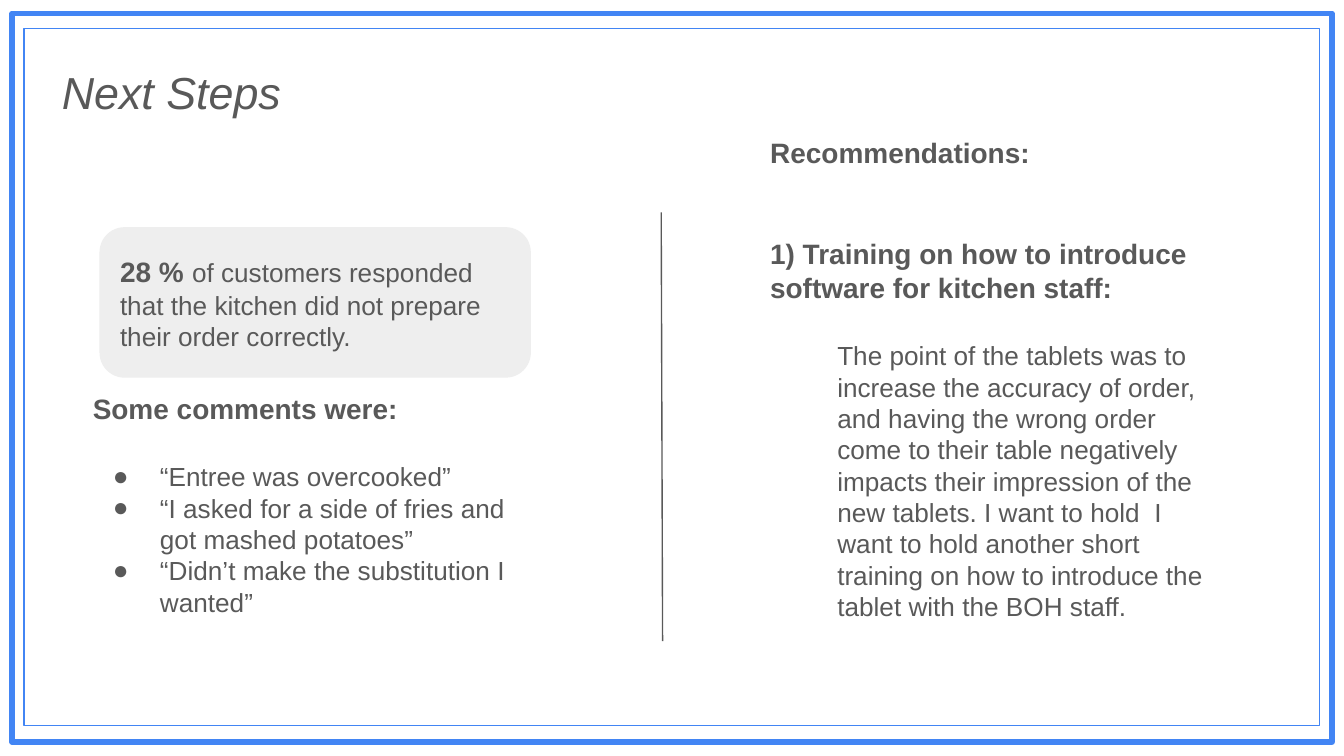
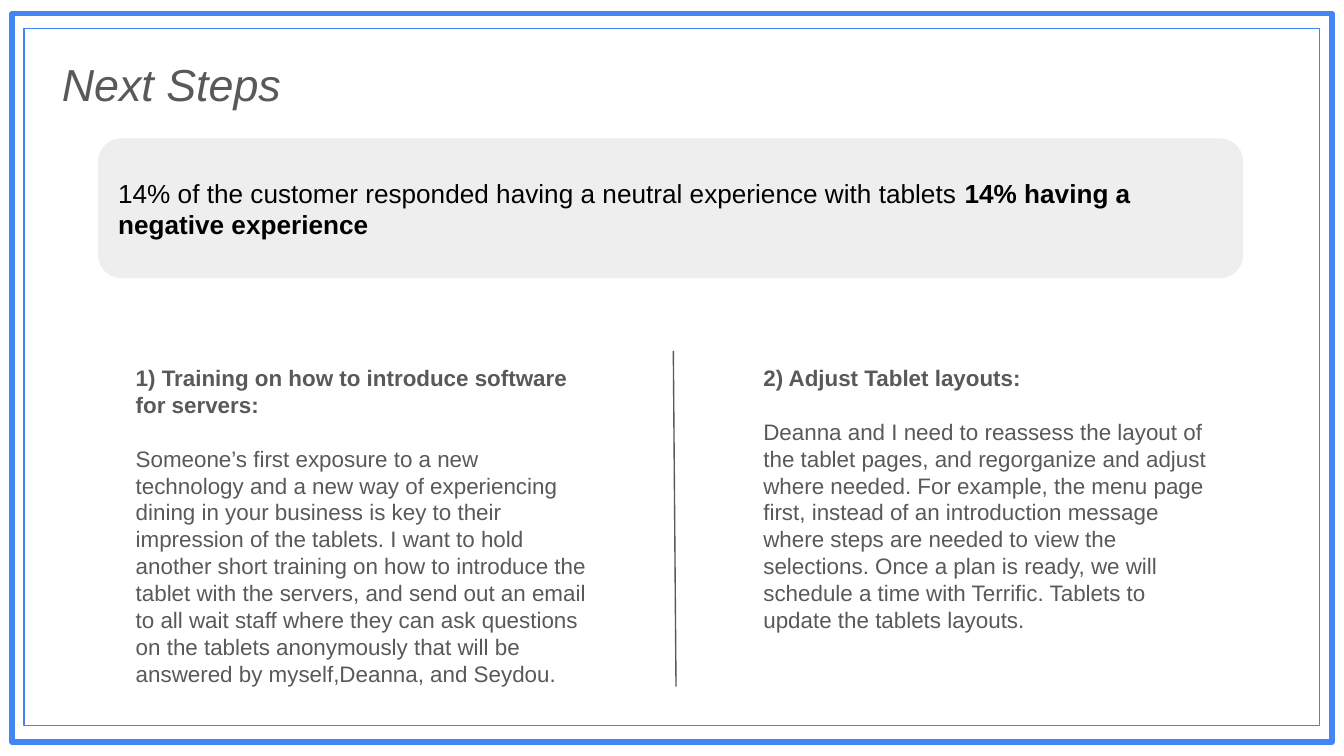
import pptx
import pptx.util
import pptx.dml.color
import pptx.enum.shapes
import pptx.enum.text
import pptx.oxml
import pptx.oxml.ns

Inches = pptx.util.Inches
SHAPE = pptx.enum.shapes.MSO_SHAPE
ANCHOR = pptx.enum.text.MSO_ANCHOR

WIDE = 10
HIGH = WIDE * 9 / 16
FONT, LEAD = "Arial", 1.2
BLUE, GREY, PALE, BLACK = "4285F4", "595959", "EEEEEE", "000000"
FRAMES = [((0.09, 0.1, 9.82, 5.42), 3), ((0.18, 0.21, 9.64, 5.19), 0.75)]
TITLE = [{"runs": [("Next Steps", {"size": 24, "italic": True})]}]


def head(text, size, gap=0):
    """Describe a bold heading with a gap above it in points."""
    return {"runs": [(text, {"size": size, "bold": True})], "gap": gap * LEAD}


def para(text, size, gap=0, **form):
    """Describe a plain paragraph with a gap above it in points."""
    return {"runs": [(text, {"size": size})], "gap": gap * LEAD, **form}


DOT = {"left": 0.5, "hang": -0.35, "mark": "●"}

SLIDES = [
    {
        "title": (0.36, 0.38, 2.71, 0.65),
        "card": (0.74, 1.69, 3.21, 1.12),
        "fact": [
            ("28 %", {"size": 15, "bold": True}),
            (" ", {"size": 16}),
            ("of customers responded that the kitchen did not prepare their order correctly.",
             {"size": 14}),
        ],
        "line": (4.92, 1.58, 4.93, 4.77),
        "bodies": [
            ((0.59, 1.55, 3.52, 3.04), 1.36, [
                head("Some comments were:", 15),
                para("“Entree was overcooked”", 14, 16, **DOT),
                para("“I asked for a side of fries and got mashed potatoes”", 14, **DOT),
                para("“Didn’t make the substitution I wanted”", 14, **DOT),
            ]),
            ((5.63, 0.91, 3.52, 4.3), 0.1, [
                head("Recommendations:", 15),
                head("1) Training on how to introduce software for kitchen staff:", 15, 30),
                para("The point of the tablets was to increase the accuracy of order, and "
                     "having the wrong order come to their table negatively impacts their "
                     "impression of the new tablets. I want to hold  I want to hold another "
                     "short training on how to introduce the tablet with the BOH staff.",
                     14, 16, left=0.5),
            ]),
        ],
    },
    {
        "title": (0.36, 0.32, 3.17, 0.65),
        "card": (0.73, 1.03, 8.52, 1.04),
        "fact": [
            ("14% of the customer responded having a neutral experience with tablets ",
             {"size": 14, "color": BLACK}),
            ("14% having a negative experience", {"size": 14, "color": BLACK, "bold": True}),
        ],
        "line": (5.01, 2.61, 5.03, 5.11),
        "bodies": [
            ((0.91, 2.61, 3.58, 2.32), 0.1, [
                head("1) Training on how to introduce software for servers:", 12),
                para("Someone’s first exposure to a new technology and a new way of "
                     "experiencing dining in your business is key to their impression of the "
                     "tablets. I want to hold another short training on how to introduce the "
                     "tablet with the servers, and send out an email to all wait staff where "
                     "they can ask questions on the tablets anonymously that will be answered "
                     "by myself,Deanna, and Seydou.", 12, 12),
            ]),
            ((5.58, 2.61, 3.58, 2.32), 0.1, [
                head("2) Adjust Tablet layouts:", 12),
                para("Deanna and I need to reassess the layout of the tablet pages, and "
                     "regorganize and adjust where needed. For example, the menu page first, "
                     "instead of an introduction message where steps are needed to view the "
                     "selections. Once a plan is ready, we will schedule a time with Terrific. "
                     "Tablets to update the tablets layouts.", 12, 12),
            ]),
        ],
    },
]


def tint(code):
    """Turn a hex string into a colour."""
    return pptx.dml.color.RGBColor.from_string(code)


def add_run(line, text, size, color=GREY, bold=False, italic=False):
    """Add formatted text to a paragraph."""
    run = line.add_run()
    run.text = text
    font = run.font
    font.name, font.size = FONT, pptx.util.Pt(size)
    font.bold, font.italic = bold, italic
    font.color.rgb = tint(color)


def set_mark(line, left, hang, mark):
    """Set the indent and bullet of a paragraph."""
    props = line._p.get_or_add_pPr()
    props.set("marL", str(Inches(left)))
    props.set("indent", str(Inches(hang)))
    names = pptx.oxml.ns.nsdecls("a")
    parts = [f"<a:buNone {names}/>"]
    if mark:
        parts = [f'<a:buClr {names}><a:srgbClr val="{GREY}"/></a:buClr>',
                 f'<a:buFont {names} typeface="{FONT}"/>',
                 f'<a:buChar {names} char="{mark}"/>']
    for part in parts:
        props.append(pptx.oxml.parse_xml(part))


def fill_text(shape, lines, top=0.1, anchor=ANCHOR.TOP):
    """Write paragraphs into a shape."""
    frame = shape.text_frame
    frame.word_wrap = True
    frame.auto_size = pptx.enum.text.MSO_AUTO_SIZE.NONE
    frame.vertical_anchor = anchor
    frame.margin_left = frame.margin_right = frame.margin_bottom = Inches(0.1)
    frame.margin_top = Inches(top)
    for spot, item in enumerate(lines):
        line = frame.add_paragraph() if spot else frame.paragraphs[0]
        line.alignment = pptx.enum.text.PP_ALIGN.LEFT
        line.line_spacing = 1.0
        line.space_before = pptx.util.Pt(item.get("gap", 0))
        line.space_after = pptx.util.Pt(0)
        set_mark(line, item.get("left", 0), item.get("hang", 0), item.get("mark"))
        for text, form in item["runs"]:
            add_run(line, text, **form)


def place(shape, box):
    """Move and size a shape."""
    shape.left, shape.top, shape.width, shape.height = map(Inches, box)


def add_box(slide, kind, box, fill=None, edge=None, width=0):
    """Add a flat shape with a fill or an outline."""
    shape = slide.shapes.add_shape(kind, *map(Inches, box))
    shape.shadow.inherit = False
    if fill:
        shape.fill.solid()
        shape.fill.fore_color.rgb = tint(fill)
    else:
        shape.fill.background()
    if edge:
        shape.line.color.rgb = tint(edge)
        shape.line.width = pptx.util.Pt(width)
    else:
        shape.line.fill.background()
    return shape


def add_line(slide, ends):
    """Add the thin divider."""
    line = slide.shapes.add_connector(
        pptx.enum.shapes.MSO_CONNECTOR.STRAIGHT, *map(Inches, ends))
    line.line.color.rgb = tint(GREY)
    line.line.width = pptx.util.Pt(0.75)
    names = pptx.oxml.ns.nsdecls("a")
    line._element.spPr.append(pptx.oxml.parse_xml(f"<a:effectLst {names}/>"))


def add_slide(deck, data):
    """Build one slide from its content."""
    slide = deck.slides.add_slide(deck.slide_layouts.get_by_name("Two Content"))
    title, *bodies = slide.placeholders
    for box, width in FRAMES:
        add_box(slide, SHAPE.RECTANGLE, box, edge=BLUE, width=width)
    place(title, data["title"])
    fill_text(title, TITLE)
    for body, (box, top, lines) in zip(bodies, data["bodies"]):
        place(body, box)
        fill_text(body, lines, top)
    add_line(slide, data["line"])
    card = add_box(slide, SHAPE.ROUNDED_RECTANGLE, data["card"], fill=PALE)
    fill_text(card, [{"runs": data["fact"]}], anchor=ANCHOR.MIDDLE)


def main():
    """Build and save the deck."""
    deck = pptx.Presentation()
    deck.slide_width, deck.slide_height = Inches(WIDE), Inches(HIGH)
    for data in SLIDES:
        add_slide(deck, data)
    deck.save("out.pptx")


if __name__ == "__main__":
    main()
